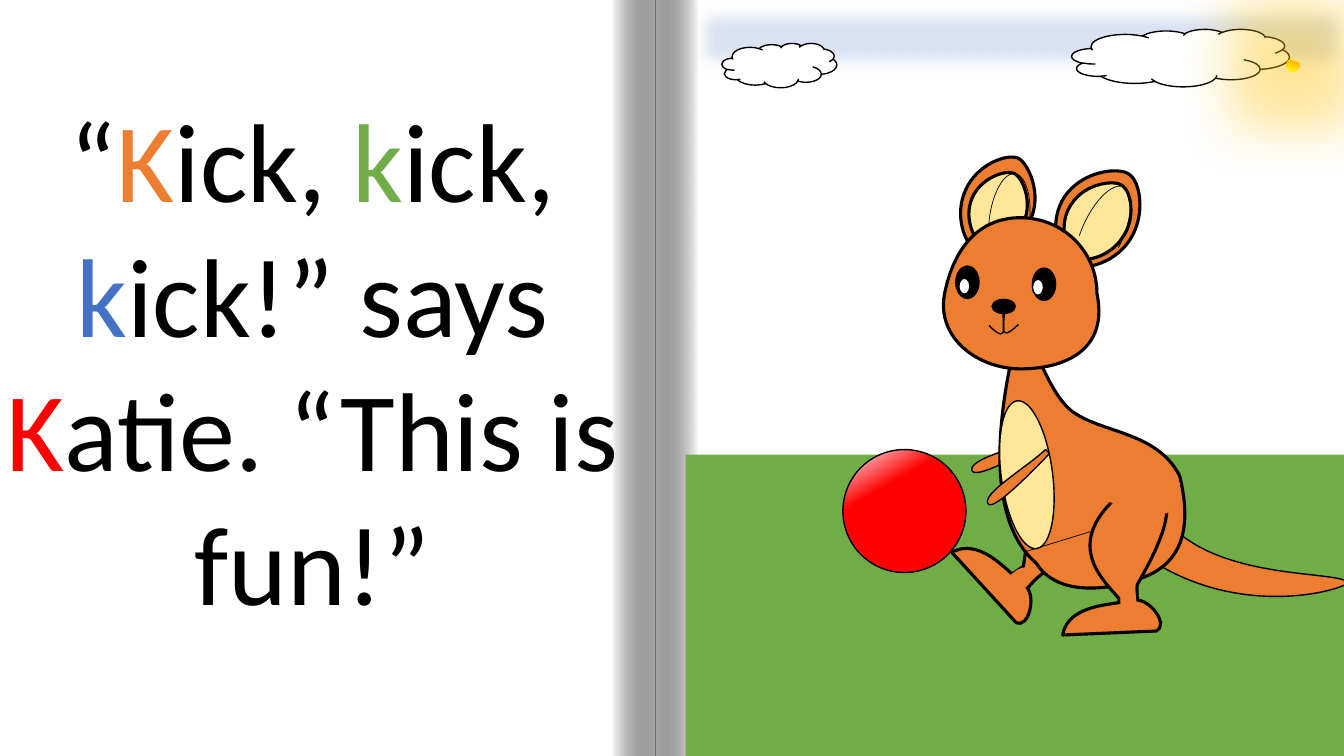
"""Build a storybook spread: a sentence on the left page, a kangaroo kicking a ball on the right."""
from math import cos, radians, sin
from lxml import etree
from pptx import Presentation
from pptx.dml.color import RGBColor
from pptx.enum.shapes import MSO_CONNECTOR, MSO_SHAPE
from pptx.enum.text import MSO_ANCHOR, PP_ALIGN
from pptx.oxml import parse_xml
from pptx.oxml.ns import nsdecls, qn
from pptx.util import Inches, Pt

BLACK = RGBColor(0x00, 0x00, 0x00)
WHITE = RGBColor(0xFF, 0xFF, 0xFF)
ORANGE = RGBColor(0xED, 0x7D, 0x31)
CREAM = RGBColor(0xFF, 0xE6, 0x99)
GREEN = RGBColor(0x70, 0xAD, 0x47)
BLUE = RGBColor(0x44, 0x72, 0xC4)
RED = RGBColor(0xFF, 0x00, 0x00)
SKY = RGBColor(0xDA, 0xE3, 0xF3)
GOLD = RGBColor(0xFF, 0xC0, 0x00)
YELLOW = RGBColor(0xFF, 0xFF, 0x00)
SHINE = RGBColor(0xF6, 0xF8, 0xFC)
RECT, OVAL, CLOUD, ARC = MSO_SHAPE.RECTANGLE, MSO_SHAPE.OVAL, MSO_SHAPE.CLOUD, MSO_SHAPE.ARC

prs = Presentation()
prs.slide_width, prs.slide_height = Inches(13.33), Inches(7.5)
s = prs.slides.add_slide(prs.slide_layouts[6])
s.background.fill.solid()
s.background.fill.fore_color.rgb = BLACK


def paint(sp, fill=None, width=0, rot=0, line=BLACK):
    sp.shadow.inherit = False
    sp.rotation = rot
    sp.fill.background()
    if fill is not None:
        sp.fill.solid()
        sp.fill.fore_color.rgb = fill
    sp.line.fill.background()
    if width:
        sp.line.color.rgb = line
        sp.line.width = Pt(width)
    return sp


def outline(box, start, segments, fill=None, width=0, rot=0):
    left, top, w, h = box
    mid_x, mid_y, turn = left + w / 2, top + h / 2, radians(-rot)
    builder = s.shapes.build_freeform(Inches(left), Inches(top))
    builder.add_line_segments([(Inches(left + w), Inches(top + h))], close=fill is not None)
    sp = paint(builder.convert_to_shape(), fill, width, rot)
    track = next(sp.element.iter(qn("a:path")))
    for old in track.findall(qn("a:moveTo")) + track.findall(qn("a:lnTo")):
        track.remove(old)
    steps = [("a:moveTo", start)] + [("a:lnTo" if len(seg) == 2 else "a:cubicBezTo", seg) for seg in segments]
    for i, (tag, seg) in enumerate(steps):
        step = etree.Element(qn(tag))
        for x, y in zip(seg[::2], seg[1::2]):
            dx, dy = x - mid_x, y - mid_y
            pt = etree.SubElement(step, qn("a:pt"))
            pt.set("x", str(Inches(w / 2 + dx * cos(turn) - dy * sin(turn))))
            pt.set("y", str(Inches(h / 2 + dx * sin(turn) + dy * cos(turn))))
        track.insert(i, step)


shapes = s.shapes
page = paint(shapes.add_shape(RECT, *map(Inches, (-0.01, 0, 13.47, 7.5))), WHITE)
right_fold = paint(shapes.add_shape(RECT, *map(Inches, (6.5, 0, 0.43, 7.5))))
left_fold = paint(shapes.add_shape(RECT, *map(Inches, (6.07, 0, 0.43, 7.5))))

tf = shapes.add_textbox(Inches(-0.15), Inches(0.85), Inches(6.5), Inches(5.49)).text_frame
tf.word_wrap = True
tf.vertical_anchor = MSO_ANCHOR.TOP
p = tf.paragraphs[0]
p.alignment = PP_ALIGN.CENTER
p.font.size, p.font.name = Pt(80), "Calibri"
for text, color in [("“", BLACK), ("K", ORANGE), ("ick, ", BLACK), ("k", GREEN), ("ick, ", BLACK),
                    ("k", BLUE), ("ick!” says ", BLACK), ("K", RED), ("atie. “This is fun!”", BLACK)]:
    r = p.add_run()
    r.text = text
    r.font.color.rgb = color

sky = paint(shapes.add_shape(RECT, *map(Inches, (6.79, -0.05, 6.67, 0.85))), SKY, 1, line=SKY)
for box in [(7.16, 0.43, 1.14, 0.44), (10.63, 0.29, 2.16, 0.57)]:
    paint(shapes.add_shape(CLOUD, *map(Inches, box)), WHITE, 1)
grass = paint(shapes.add_shape(RECT, *map(Inches, (6.8, 4.51, 6.66, 4.16))), GREEN)
sun = paint(shapes.add_shape(OVAL, *map(Inches, (12.76, 0.58, 0.13, 0.13))))

outline((10.49, 1.62, 0.78, 1.08), (11.2, 2.39),
        [(11.37, 2.14, 11.31, 1.8, 11.2, 1.73), (11.09, 1.65, 10.73, 1.7, 10.56, 1.95),
         (10.39, 2.2, 10.49, 2.55, 10.6, 2.62), (10.7, 2.7, 11.04, 2.63, 11.2, 2.39)], ORANGE, 2.25, 34)
outline((10.57, 1.76, 0.62, 0.86), (11.13, 2.36),
        [(11.27, 2.17, 11.22, 1.9, 11.13, 1.84), (11.05, 1.78, 10.76, 1.82, 10.63, 2.02),
         (10.49, 2.21, 10.57, 2.49, 10.65, 2.55), (10.74, 2.61, 11, 2.56, 11.13, 2.36)], CREAM, 2.25, 34)
right_crease = paint(shapes.add_shape(ARC, *map(Inches, (10.73, 1.81, 0.41, 1.01))), None, 0.5, 24.3)
outline((9.93, 4.11, 0.12, 0.78), (10.34, 4.33),
        [(10.37, 4.38), (10.25, 4.44, 9.68, 4.77, 9.64, 4.67),
         (9.6, 4.55, 10.11, 4.44, 10.34, 4.33)], ORANGE, 1, 63.6)
outline((9.54, 1.53, 0.71, 0.99), (9.58, 1.88),
        [(9.69, 1.63, 9.99, 1.52, 10.1, 1.57), (10.2, 1.62, 10.34, 1.93, 10.22, 2.18),
         (10.11, 2.43, 9.78, 2.52, 9.67, 2.47), (9.57, 2.42, 9.46, 2.13, 9.58, 1.88)], ORANGE, 2.25, 25.3)
outline((9.61, 1.69, 0.56, 0.79), (10.16, 2.19),
        [(10.24, 1.99, 10.14, 1.76, 10.06, 1.72), (9.97, 1.68, 9.72, 1.77, 9.64, 1.97),
         (9.55, 2.18, 9.68, 2.41, 9.76, 2.45), (9.85, 2.48, 10.08, 2.39, 10.16, 2.19)], CREAM, 2.25, 21.9)
left_crease = paint(shapes.add_shape(ARC, *map(Inches, (9.81, 1.72, 0.4, 0.96))), None, 0.5, 6.7)
for crease in (right_crease, left_crease):
    crease.adjustments[0], crease.adjustments[1] = 162 * 0.6, 29.98 * 0.6

outline((11.35, 5.23, 1.95, 0.8), (11.51, 5.09),
        [(11.98, 5.78, 13.28, 5.65, 13.37, 5.78), (13.33, 5.85, 12.24, 6.18, 11.29, 5.47),
         (11.51, 5.09)], ORANGE, 1, 30.5)
outline((10.13, 4.75, 0.76, 1.37), (10.91, 4.96),
        [(11.17, 5.17), (11.31, 5.4, 11.02, 5.56, 10.37, 5.67), (10.19, 5.79, 10.17, 5.91, 10.08, 5.92),
         (10.09, 5.88, 9.9, 5.82, 9.91, 5.78), (10.15, 5.62),
         (10.19, 5.37, 10.21, 4.85, 10.91, 4.96)], ORANGE, 2.25, 50.5)
outline((9.4, 5.57, 0.98, 0.35), (9.44, 5.48),
        [(9.74, 5.31, 10.05, 5.74, 10.18, 5.82), (10.28, 5.93, 10.2, 6.23, 10.08, 6.18),
         (9.44, 5.48)], ORANGE, 2.25, 50.5)
outline((9.98, 5.61, 0.3, 0.23), (10.31, 5.67),
        [(10.12, 5.56, 10.05, 5.7, 10, 5.72), (9.97, 5.76, 10.07, 5.9, 10.12, 5.89),
         (10.31, 5.67)], ORANGE, rot=305.1)
outline((9.76, 3.15, 1.71, 2.79), (11.46, 5.67),
        [(11.23, 5.81, 10.53, 5.99, 10.28, 5.59), (9.63, 5.03, 10.04, 3.53, 10.1, 3.27),
         (10.15, 3.02, 10.33, 3.83, 10.62, 4.07), (10.91, 4.3, 11.47, 4.27, 11.7, 4.72),
         (11.83, 5.25, 11.7, 5.53, 11.46, 5.67)], ORANGE, 2.25, 330.3)
outline((10.81, 4.86, 0.76, 1.37), (11.08, 4.93),
        [(11.41, 4.86), (11.67, 4.91, 11.61, 5.23, 11.28, 5.8), (11.26, 6.02, 11.35, 6.11, 11.29, 6.18),
         (11.27, 6.15, 11.1, 6.26, 11.07, 6.23), (11.1, 5.94),
         (10.94, 5.75, 10.55, 5.41, 11.08, 4.93)], ORANGE, 2.25)
outline((10.54, 5.95, 0.98, 0.35), (10.54, 6.3),
        [(10.59, 5.97, 11.12, 6, 11.26, 5.95), (11.42, 5.95, 11.59, 6.2, 11.47, 6.26),
         (10.54, 6.3)], ORANGE, 2.25)
belly = paint(shapes.add_shape(OVAL, *map(Inches, (9.93, 3.97, 0.51, 1.48))), CREAM, 1, 352.5)
hip = shapes.add_connector(MSO_CONNECTOR.STRAIGHT, *map(Inches, (10.18, 5.47, 10.83, 5.27)))
hip.line.color.rgb = BLACK
hip.line.width = Pt(0.5)
etree.SubElement(hip.element.spPr, qn("a:effectLst"))
outline((9.36, 2.16, 1.54, 1.51), (9.37, 2.91),
        [(9.46, 2.46, 9.71, 2.16, 10.12, 2.16), (10.54, 2.16, 10.88, 2.49, 10.88, 2.91),
         (11, 3.49, 10.54, 3.66, 10.12, 3.66), (9.71, 3.66, 9.28, 3.36, 9.37, 2.91)], ORANGE, 2.25)
outline((11.18, 4.56, 0.32, 0.7), (11.71, 4.79),
        [(11.04, 4.74, 11.08, 4.92, 10.98, 4.95), (10.96, 5, 11.46, 5.12, 11.58, 5.09),
         (11.71, 4.79)], ORANGE, rot=276.3)

for box, color in [((10.24, 2.66, 0.23, 0.32), BLACK), ((9.48, 2.64, 0.23, 0.32), BLACK),
                   ((9.51, 2.76, 0.11, 0.16), WHITE), ((10.24, 2.77, 0.11, 0.16), WHITE),
                   ((9.84, 2.97, 0.23, 0.14), BLACK)]:
    paint(shapes.add_shape(OVAL, *map(Inches, box)), color, 1)
outline((9.95, 3.06, 0.15, 0.25), (9.95, 3.06), [(10, 3.11, 9.85, 3.46, 10.1, 3.22)], width=1)
outline((9.81, 3.06, 0.15, 0.25), (9.96, 3.06), [(9.91, 3.12, 10.05, 3.47, 9.81, 3.23)], width=1)

outline((11.04, 5.83, 0.3, 0.19), (11.25, 5.76),
        [(11.08, 5.81, 11.12, 5.97, 11.11, 6.02), (11.11, 6.06, 11.26, 6.09, 11.28, 6.05),
         (11.25, 5.76)], ORANGE, rot=259.2)
outline((10.03, 4.34, 0.12, 0.78), (10.37, 4.46),
        [(10.41, 4.5), (10.32, 4.59, 9.86, 5.08, 9.8, 5),
         (9.73, 4.9, 10.18, 4.64, 10.37, 4.46)], ORANGE, 1, 46.6)
ball = paint(shapes.add_shape(OVAL, *map(Inches, (8.36, 4.46, 1.22, 1.22))), None, 1)

for sp in (left_fold, right_crease, left_crease):
    sp.element.spPr.find(qn("a:xfrm")).set("flipH", "1")

fold_stops = [(0, WHITE, 100), (100, BLACK, 34)]
for sp, stops, angle in [(right_fold, fold_stops, 180), (left_fold, fold_stops, 180),
                         (sun, [(0, WHITE, 100), (34, GOLD, 100), (100, YELLOW, 100)], 110),
                         (ball, [(0, SHINE, 100), (32, RED, 100)], 60)]:
    gs = "".join(f'<a:gs pos="{pos * 1000}"><a:srgbClr val="{color}"><a:alpha val="{alpha * 1000}"/>'
                 f'</a:srgbClr></a:gs>' for pos, color, alpha in stops)
    spPr = sp.element.spPr
    spPr.replace(spPr.find(qn("a:noFill")), parse_xml(
        f'<a:gradFill {nsdecls("a")} rotWithShape="1"><a:gsLst>{gs}</a:gsLst>'
        f'<a:lin ang="{angle * 60000}" scaled="0"/></a:gradFill>'))

for sp, effect in [(sky, f'<a:softEdge {nsdecls("a")} rad="{Pt(12.5)}"/>'),
                   (sun, f'<a:glow {nsdecls("a")} rad="{Pt(80)}"><a:srgbClr val="{GOLD}">'
                         '<a:alpha val="40000"/></a:srgbClr></a:glow>')]:
    sp.element.spPr.find(qn("a:effectLst")).append(parse_xml(effect))

prs.save("out.pptx")
